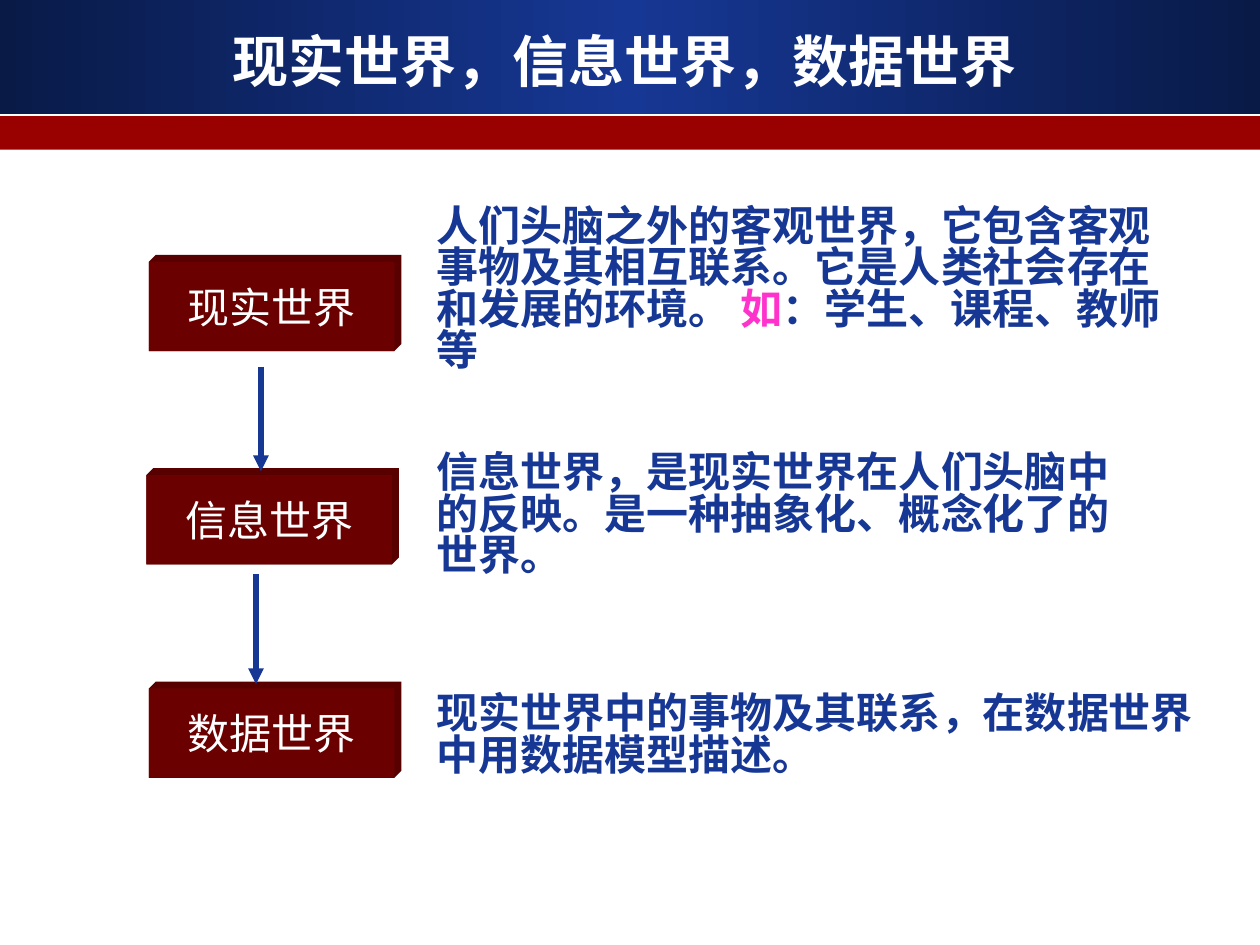
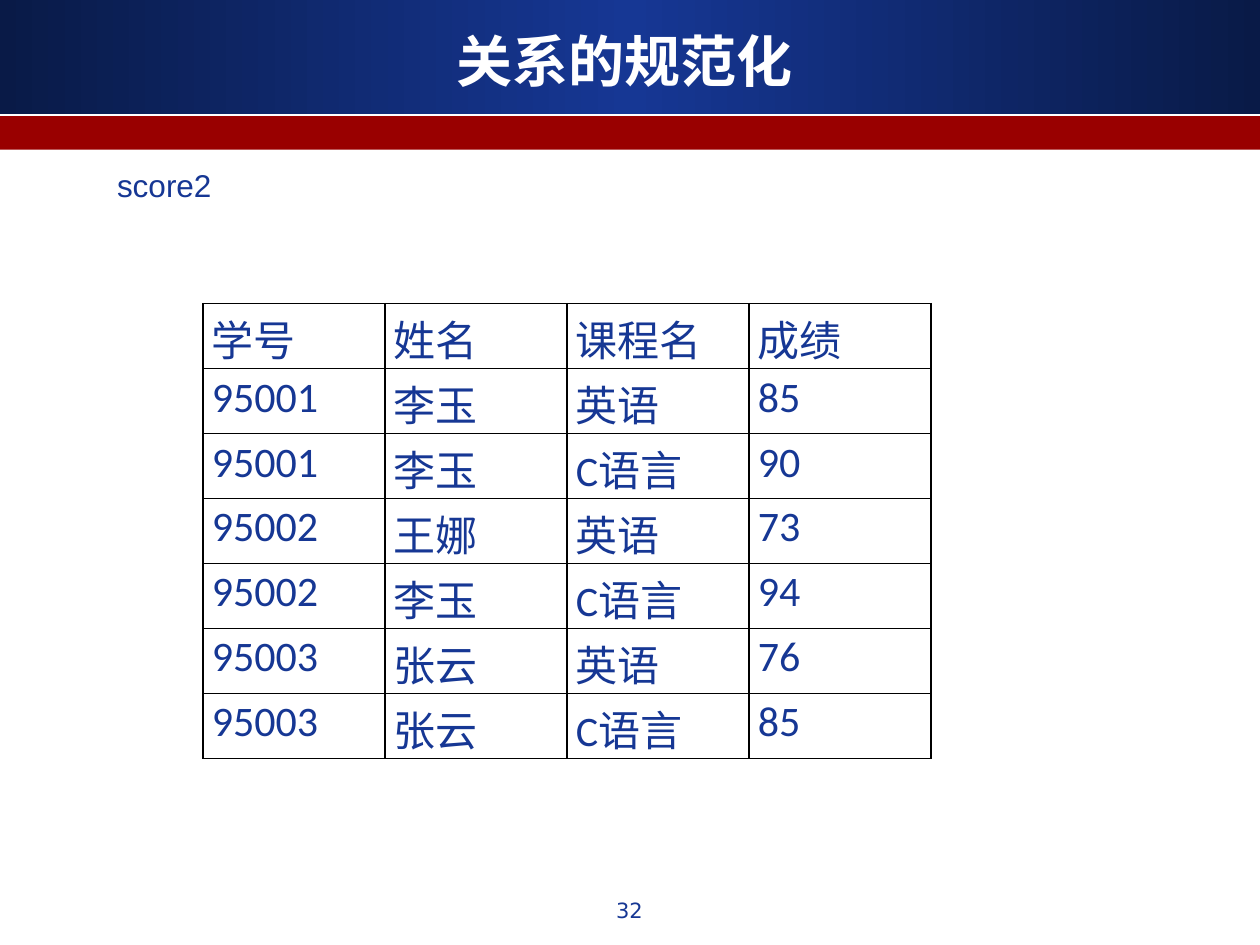
from lxml import etree
from pptx import Presentation
from pptx.dml.color import RGBColor
from pptx.enum.shapes import MSO_CONNECTOR, MSO_SHAPE
from pptx.enum.text import MSO_ANCHOR, PP_ALIGN
from pptx.oxml.ns import qn
from pptx.util import Cm, Pt

LEFT, CENTER = PP_ALIGN.LEFT, PP_ALIGN.CENTER
TOP, MIDDLE = MSO_ANCHOR.TOP, MSO_ANCHOR.MIDDLE
RECTANGLE = MSO_SHAPE.RECTANGLE
STRAIGHT = MSO_CONNECTOR.STRAIGHT

COLORS = {
    "navy": "163794",
    "dark_navy": "091A47",
    "red": "990000",
    "face": "6A0000",
    "edge": "580000",
    "pink": "FF33CC",
    "white": "FFFFFF",
    "black": "000000",
}


def write_text(frame, runs, size, font, bold=False, align=LEFT, anchor=TOP, spacing=1.0):
    frame.word_wrap = True
    frame.vertical_anchor = anchor
    paragraph = frame.paragraphs[0]
    paragraph.alignment = align
    paragraph.line_spacing = spacing
    for text, color in runs:
        run = paragraph.add_run()
        run.text = text
        run.font.size = Pt(size)
        run.font.name = font
        run.font.bold = bold
        run.font.color.rgb = RGBColor.from_string(COLORS[color])


def paint(shape, color):
    shape.shadow.inherit = False
    shape.fill.solid()
    shape.fill.fore_color.rgb = RGBColor.from_string(COLORS[color])
    shape.line.fill.background()


presentation = Presentation()
presentation.slide_width = Cm(25.4)
presentation.slide_height = Cm(19.05)

slides = []
for title in ["现实世界，信息世界，数据世界", "关系的规范化"]:
    slide = presentation.slides.add_slide(presentation.slide_layouts[6])
    slides.append(slide)
    header = slide.shapes.add_shape(RECTANGLE, 0, 0, Cm(25.4), Cm(2.31))
    paint(header, "navy")
    header.fill.gradient()
    header.fill.gradient_angle = 0
    stop_list = header.fill._fill._gradFill.find(qn("a:gsLst"))
    for stop in list(stop_list):
        stop_list.remove(stop)
    for position, color in [(0, "dark_navy"), (50000, "navy"), (100000, "dark_navy")]:
        stop = etree.SubElement(stop_list, qn("a:gs"), pos=str(position))
        etree.SubElement(stop, qn("a:srgbClr"), val=COLORS[color])
    band = slide.shapes.add_shape(RECTANGLE, 0, Cm(2.34), Cm(25.4), Cm(0.68))
    paint(band, "red")
    title_box = slide.shapes.add_textbox(Cm(0.84), Cm(0.43), Cm(23.5), Cm(1.57))
    write_text(title_box.text_frame, [(title, "white")], 32, "DejaVu Sans",
               bold=True, align=CENTER, anchor=MIDDLE)

worlds_slide, table_slide = slides

WORLD_WIDTH, WORLD_HEIGHT, DEPTH = 4.95, 1.8, 0.14
worlds = [("现实世界", 3.0), ("信息世界", 2.95), ("数据世界", 3.0)]
for index, (name, left) in enumerate(worlds):
    top = 5.28 + index * 4.3
    right, bottom = left + WORLD_WIDTH, top + WORLD_HEIGHT
    outline = [
        (left, top), (left + DEPTH, top - DEPTH), (right + DEPTH, top - DEPTH),
        (right + DEPTH, bottom - DEPTH), (right, bottom), (left, bottom),
    ]
    points = [(Cm(x), Cm(y)) for x, y in outline]
    builder = worlds_slide.shapes.build_freeform(*points[0])
    builder.add_line_segments(points[1:], close=True)
    paint(builder.convert_to_shape(), "edge")
    face = worlds_slide.shapes.add_shape(
        RECTANGLE, Cm(left), Cm(top), Cm(WORLD_WIDTH), Cm(WORLD_HEIGHT))
    paint(face, "face")
    write_text(face.text_frame, [(name, "white")], 24, "Times New Roman",
               align=CENTER, anchor=MIDDLE)

for x, start, end in [(5.26, 7.39, 9.5), (5.16, 11.58, 13.79)]:
    arrow = worlds_slide.shapes.add_connector(STRAIGHT, Cm(x), Cm(start), Cm(x), Cm(end))
    arrow.line.color.rgb = RGBColor.from_string(COLORS["navy"])
    arrow.line.width = Pt(3)
    etree.SubElement(arrow.line._get_or_add_ln(), qn("a:tailEnd"), type="triangle")
    etree.SubElement(arrow._element.spPr, qn("a:effectLst"))

descriptions = [
    (4.98, 15.32, 1.78, [
        ("人们头脑之外的客观世界，它包含客观事物及其相互联系。它是人类社会存在和发展的环境。 ", "navy"),
        ("如", "pink"),
        ("：学生、课程、教师等", "navy"),
    ]),
    (9.35, 14.71, 2.13, [
        ("信息世界，是现实世界在人们头脑中的反映。是一种抽象化、概念化了的世界。", "navy"),
    ]),
    (13.82, 15.9, 2.08, [
        ("现实世界中的事物及其联系，在数据世界中用数据模型描述。", "navy"),
    ]),
]
for top, width, height, runs in descriptions:
    box = worlds_slide.shapes.add_textbox(Cm(8.56), Cm(top), Cm(width), Cm(height))
    write_text(box.text_frame, runs, 24, "Arial", bold=True, anchor=MIDDLE, spacing=0.82)

caption = table_slide.shapes.add_textbox(Cm(2.11), Cm(3.23), Cm(7.19), Cm(1.02))
write_text(caption.text_frame, [("score2", "navy")], 18, "Arial")

page_number = table_slide.shapes.add_textbox(Cm(9.73), Cm(17.96), Cm(5.92), Cm(0.89))
write_text(page_number.text_frame, [("32", "navy")], 12, "DejaVu Sans", align=CENTER)

scores = [
    ("学号", "姓名", "课程名", "成绩"),
    ("95001", "李玉", "英语", "85"),
    ("95001", "李玉", "C语言", "90"),
    ("95002", "王娜", "英语", "73"),
    ("95002", "李玉", "C语言", "94"),
    ("95003", "张云", "英语", "76"),
    ("95003", "张云", "C语言", "85"),
]
table = table_slide.shapes.add_table(
    len(scores), 4, Cm(4.09), Cm(6.12), Cm(14.68), Cm(9.17)).table
table.first_row = False
table.horz_banding = False
for column in table.columns:
    column.width = Cm(3.67)
for row, values in zip(table.rows, scores):
    row.height = Cm(1.31)
    for cell, value in zip(row.cells, values):
        cell.margin_left = cell.margin_right = Cm(0.18)
        cell.margin_top = cell.margin_bottom = 0
        write_text(cell.text_frame, [(value, "navy")], 24, "Calibri", spacing=1.07)
        properties = cell._tc.get_or_add_tcPr()
        for side in ["a:lnL", "a:lnR", "a:lnT", "a:lnB"]:
            border = etree.SubElement(properties, qn(side), w=str(Pt(1)))
            fill = etree.SubElement(border, qn("a:solidFill"))
            etree.SubElement(fill, qn("a:srgbClr"), val=COLORS["black"])
        cell.fill.background()

presentation.save("out.pptx")
